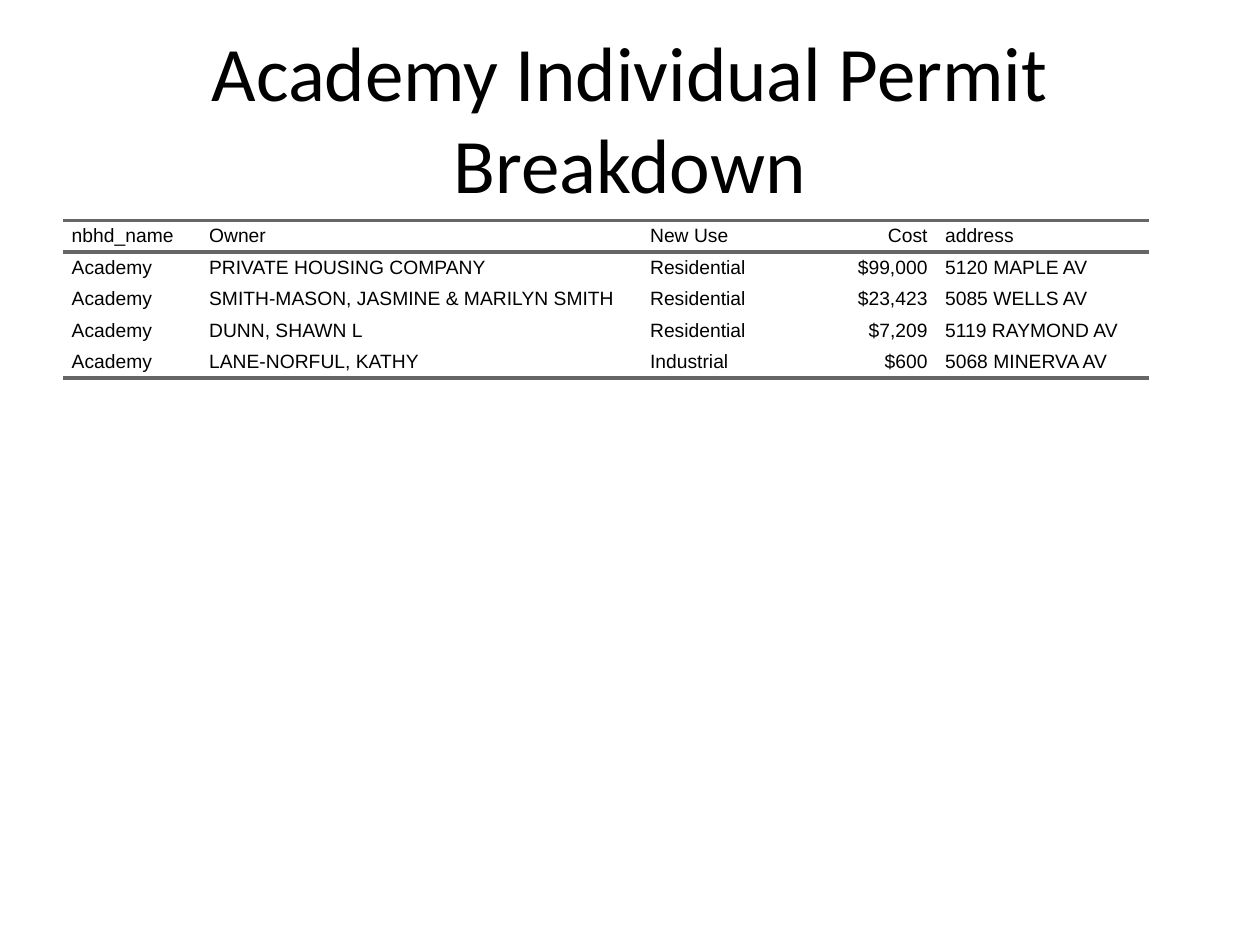
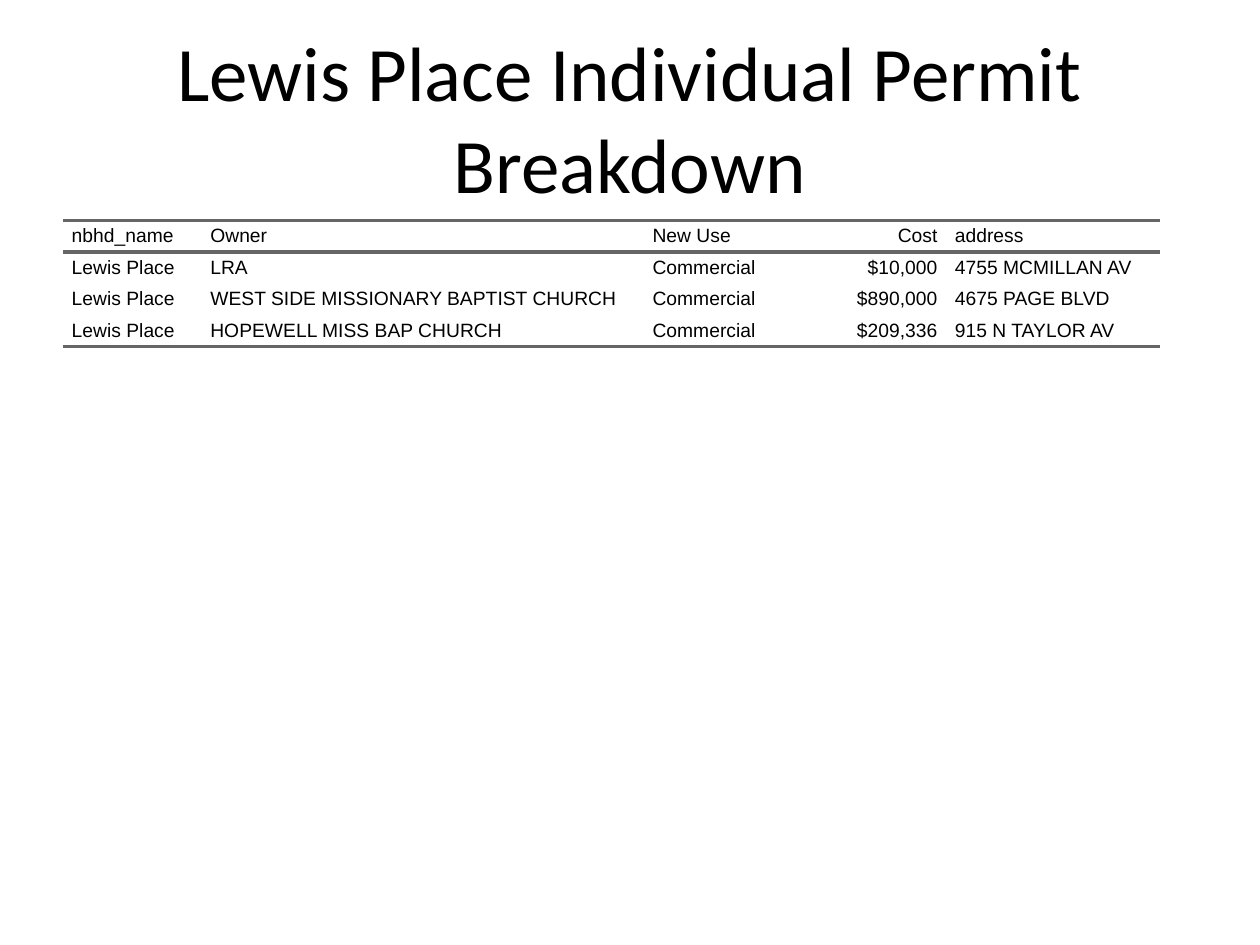
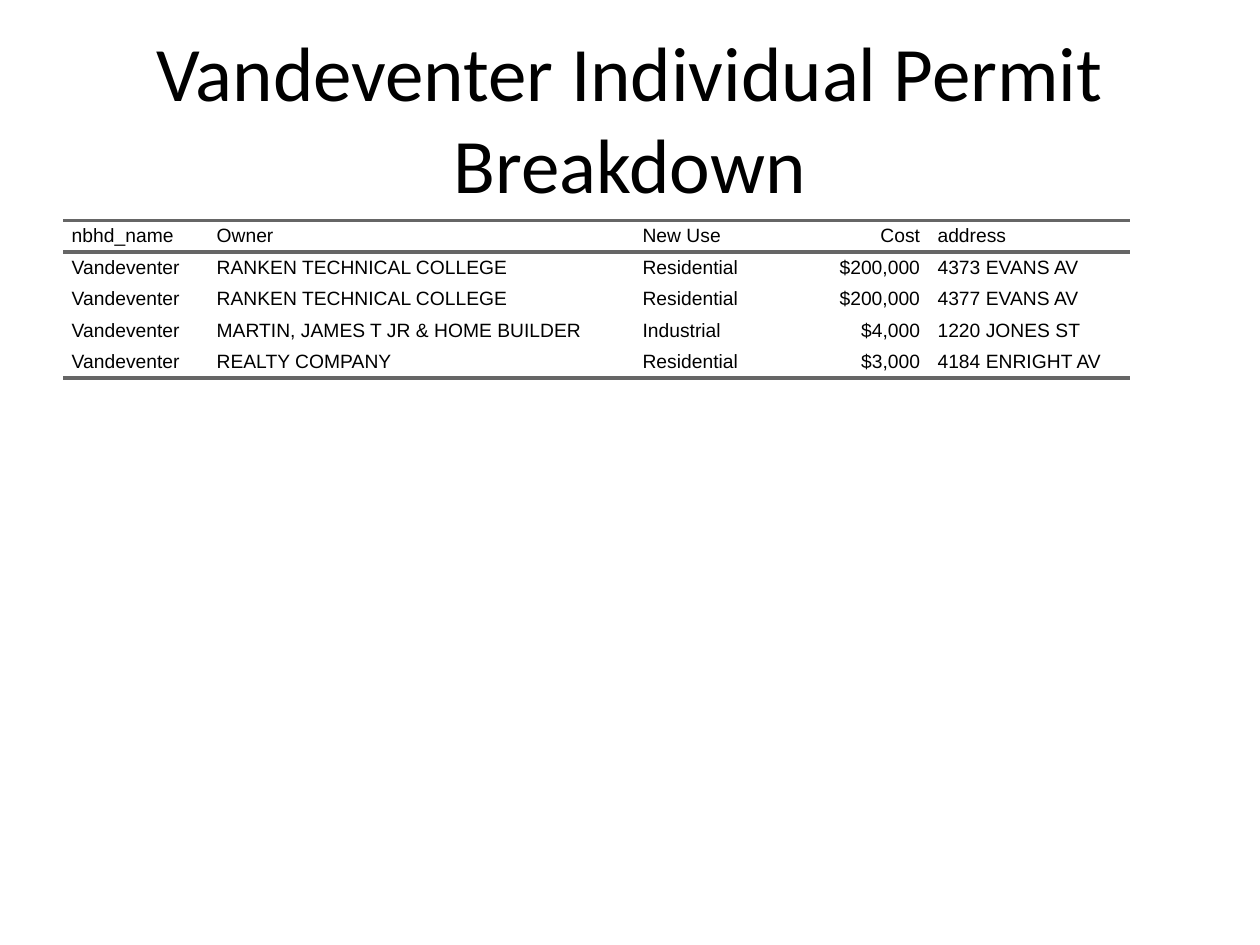
from pptx import Presentation
from pptx.dml.color import RGBColor
from pptx.enum.text import MSO_ANCHOR as ANCHOR, PP_ALIGN as ALIGN
from pptx.oxml import parse_xml
from pptx.oxml.ns import nsdecls
from pptx.util import Pt

COLORS = {"text": "000000", "rule": "666666"}
NO_STYLE = "{2D5ABB26-0587-4C30-8999-92F81FD0307C}"
LEFT, WIDTH = 36, 648
TITLE_TOP, TITLE_HEIGHT = 21.6, 90
TABLE_TOP, ROW_HEIGHT = 126, 18
CELL_INDENT, RULE_WIDTH = 5, 2
HEADER = ("nbhd_name", "Owner", "New Use", "Cost", "address")
COST_COL = HEADER.index("Cost")

NEIGHBORHOODS = [
    ("Academy", (78.5, 252, 75, 93.6, 121.7), [
        ("PRIVATE HOUSING COMPANY", "Residential", "$99,000", "5120 MAPLE AV"),
        ("SMITH-MASON, JASMINE & MARILYN SMITH", "Residential", "$23,423", "5085 WELLS AV"),
        ("DUNN, SHAWN L", "Residential", "$7,209", "5119 RAYMOND AV"),
        ("LANE-NORFUL, KATHY", "Industrial", "$600", "5068 MINERVA AV"),
    ]),
    ("Lewis Place", (79.2, 252.7, 79.2, 93.6, 122.4), [
        ("LRA", "Commercial", "$10,000", "4755 MCMILLAN AV"),
        ("WEST SIDE MISSIONARY BAPTIST CHURCH", "Commercial", "$890,000", "4675 PAGE BLVD"),
        ("HOPEWELL MISS BAP CHURCH", "Commercial", "$209,336", "915 N TAYLOR AV"),
    ]),
    ("Vandeventer", (82.8, 243.4, 75, 93.6, 115.2), [
        ("RANKEN TECHNICAL COLLEGE", "Residential", "$200,000", "4373 EVANS AV"),
        ("RANKEN TECHNICAL COLLEGE", "Residential", "$200,000", "4377 EVANS AV"),
        ("MARTIN, JAMES T JR & HOME BUILDER", "Industrial", "$4,000", "1220 JONES ST"),
        ("REALTY COMPANY", "Residential", "$3,000", "4184 ENRIGHT AV"),
    ]),
]


def write(tf, text, size=11, font="Arial", color="text", align=ALIGN.LEFT, indent=0):
    p = tf.paragraphs[0]
    p.alignment = align
    pPr = p._p.get_or_add_pPr()
    for side in ("marL", "marR"):
        pPr.set(side, str(Pt(indent)))
    r = p.add_run()
    r.text = text
    r.font.size = Pt(size)
    r.font.name = font
    r.font.color.rgb = RGBColor.from_string(COLORS[color])


def add_title(s, text):
    box = s.shapes.add_textbox(Pt(LEFT), Pt(TITLE_TOP), Pt(WIDTH), Pt(TITLE_HEIGHT))
    tf = box.text_frame
    tf.word_wrap = True
    tf.vertical_anchor = ANCHOR.MIDDLE
    write(tf, text, size=44, font="Calibri", align=ALIGN.CENTER)


def add_rules(cell, edges):
    tcPr = cell._tc.get_or_add_tcPr()
    for i, edge in enumerate(edges):
        tcPr.insert(i, parse_xml(
            f'<a:ln{edge} {nsdecls("a")} w="{Pt(RULE_WIDTH)}"><a:solidFill>'
            f'<a:srgbClr val="{COLORS["rule"]}"/></a:solidFill></a:ln{edge}>'))


def fill_cell(cell, text, align, edges):
    cell.margin_left = cell.margin_right = cell.margin_top = cell.margin_bottom = 0
    cell.vertical_anchor = ANCHOR.MIDDLE
    cell.fill.background()
    write(cell.text_frame, text, align=align, indent=CELL_INDENT)
    add_rules(cell, edges)


def add_permit_table(s, rows, widths):
    frame = s.shapes.add_table(len(rows), len(widths), Pt(LEFT), Pt(TABLE_TOP),
                               Pt(sum(widths)), Pt(ROW_HEIGHT * len(rows)))
    table = frame.table
    table.first_row = table.horz_banding = False
    table._tbl.tblPr[0].text = NO_STYLE
    for col, width in zip(table.columns, widths):
        col.width = Pt(width)
    for i, values in enumerate(rows):
        table.rows[i].height = Pt(ROW_HEIGHT)
        edges = "TB" if i == 0 else "B" if i == len(rows) - 1 else ""
        for j, value in enumerate(values):
            align = ALIGN.RIGHT if j == COST_COL else ALIGN.LEFT
            fill_cell(table.cell(i, j), value, align, edges)


def main():
    prs = Presentation()
    prs.slide_width, prs.slide_height = Pt(720), Pt(540)
    for name, widths, permits in NEIGHBORHOODS:
        s = prs.slides.add_slide(prs.slide_layouts[6])
        add_title(s, f"{name} Individual Permit Breakdown")
        add_permit_table(s, [HEADER] + [(name, *permit) for permit in permits], widths)
    prs.save("out.pptx")


if __name__ == "__main__":
    main()
